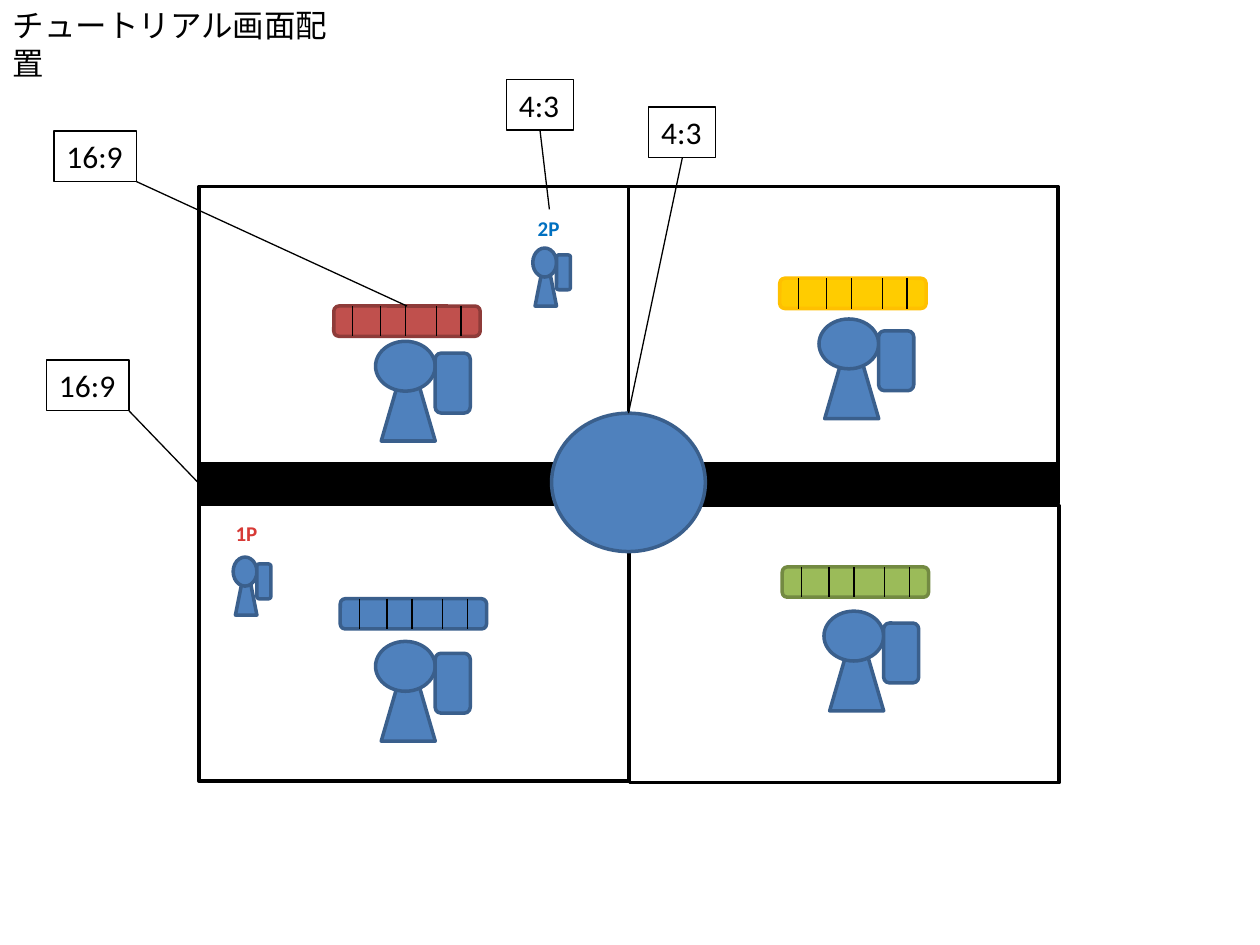
from lxml.etree import SubElement
from pptx import Presentation
from pptx.dml.color import RGBColor
from pptx.enum.shapes import MSO_CONNECTOR as Link, MSO_SHAPE as Shape
from pptx.enum.text import MSO_ANCHOR as Anchor, MSO_AUTO_SIZE as AutoSize, PP_ALIGN as Align
from pptx.oxml.ns import qn
from pptx.util import Cm, Pt

BLACK = RGBColor(0x00, 0x00, 0x00)
WHITE = RGBColor(0xFF, 0xFF, 0xFF)
BLUE = RGBColor(0x4F, 0x81, 0xBD)
BLUE_EDGE = RGBColor(0x3A, 0x5F, 0x8C)
RED = RGBColor(0xC0, 0x50, 0x4D)
RED_EDGE = RGBColor(0x8E, 0x3B, 0x39)
GREEN = RGBColor(0x9B, 0xBB, 0x59)
GREEN_EDGE = RGBColor(0x73, 0x8A, 0x42)
YELLOW = RGBColor(0xFF, 0xCC, 0x00)
YELLOW_EDGE = RGBColor(0xFF, 0xC0, 0x00)
TAG_RED = RGBColor(0xD7, 0x3A, 0x36)
TAG_BLUE = RGBColor(0x00, 0x70, 0xC0)

PANE_SIZE = (8.66, 5.59)
PLAYER_SIZE = (1.91, 2.01)
SMALL_PLAYER_SIZE = (0.76, 1.17)
GAUGE_SIZE = (2.95, 0.61)
TAG_SIZE = (0.97, 0.76)
WIDE_LABEL = (1.66, 1.02)
NARROW_LABEL = (1.35, 1.02)

PLAYER_PARTS = (
    (Shape.ISOSCELES_TRIANGLE, 0.06, 0.07, 0.57, 0.93),
    (Shape.OVAL, 0, 0, 0.63, 0.5),
    (Shape.ROUNDED_RECTANGLE, 0.63, 0.12, 0.37, 0.6),
)
GAUGE_MARKS = (0.13, 0.32, 0.49, 0.7, 0.87)
LABEL_FONT = {"name": "Calibri", "size": Pt(18), "bold": False}
TAG_FONT = {"name": "Calibri", "size": Pt(12), "bold": True}


def add_block(shapes, kind, box, fill, edge, weight=2):
    block = shapes.add_shape(kind, *map(Cm, box))
    block.shadow.inherit = False
    if fill is None:
        block.fill.background()
    else:
        block.fill.solid()
        block.fill.fore_color.rgb = fill
    block.line.color.rgb = edge
    block.line.width = Pt(weight)
    return block


def add_line(shapes, start=(0, 0), end=(0, 0)):
    line = shapes.add_connector(Link.STRAIGHT, *map(Cm, (*start, *end)))
    line.line.color.rgb = BLACK
    line.line.width = Pt(0.75)
    SubElement(line._element.spPr, qn("a:effectLst"))
    return line


def write(frame, wording, font_format, color, **frame_format):
    frame.text = wording
    for name, value in frame_format.items():
        setattr(frame, name, value)
    paragraph = frame.paragraphs[0]
    paragraph.alignment = Align.LEFT
    font = paragraph.runs[0].font
    for name, value in font_format.items():
        setattr(font, name, value)
    font.color.rgb = color


def add_title(slide, box):
    title = slide.shapes.title
    for name, value in zip(("left", "top", "width", "height"), box):
        setattr(title, name, Cm(value))
    write(title.text_frame, "チュートリアル画面配置", LABEL_FONT, BLACK,
          word_wrap=True, auto_size=AutoSize.NONE, vertical_anchor=Anchor.TOP)


def add_screen(shapes, left, top):
    width, height = PANE_SIZE
    lower = top + 6.4
    for x, y in ((left + width, top), (left + width + 0.02, lower + 0.03)):
        add_block(shapes, Shape.RECTANGLE, (x, y, *PANE_SIZE), WHITE, BLACK)
    divider = add_block(shapes, Shape.RECTANGLE,
                        (left, top + height, 2 * width, 0.79), BLACK, BLACK)
    for y in (top, lower):
        add_block(shapes, Shape.RECTANGLE, (left, y, *PANE_SIZE), WHITE, BLACK)
    hub = add_block(shapes, Shape.OVAL,
                    (left + width - 1.55, top + 4.57, 3.1, 2.79), BLUE, BLUE_EDGE)
    return divider, hub


def add_player(shapes, left, top, width, height):
    player = shapes.add_group_shape()
    for kind, x, y, w, h in PLAYER_PARTS:
        box = (left + x * width, top + y * height, w * width, h * height)
        add_block(player.shapes, kind, box, BLUE, BLUE_EDGE)


def add_gauge(shapes, left, top, fill, edge):
    width, height = GAUGE_SIZE
    gauge = shapes.add_group_shape()
    body = add_block(gauge.shapes, Shape.ROUNDED_RECTANGLE,
                     (left, top, width, height), fill, edge)
    for mark in GAUGE_MARKS:
        x = left + mark * width
        add_line(gauge.shapes, (x, top), (x, top + height))
    return body


def add_tag(shapes, left, top, wording, color):
    tag = shapes.add_textbox(*map(Cm, (left, top, *TAG_SIZE)))
    write(tag.text_frame, wording, TAG_FONT, color, word_wrap=False)
    return tag


def add_callout(shapes, box, wording, target, side, from_corner):
    left, top, width, height = box
    label = add_block(shapes, Shape.RECTANGLE, box, None, BLACK, 0.75)
    write(label.text_frame, wording, LABEL_FONT, BLACK,
          word_wrap=False, vertical_anchor=Anchor.TOP)
    leader = add_line(shapes, (left + width, top + height))
    if not from_corner:
        leader.begin_connect(label, 2)
    leader.end_connect(target, side)


def main():
    deck = Presentation()
    deck.slide_width, deck.slide_height = Cm(25.4), Cm(19.05)
    slide = deck.slides.add_slide(deck.slide_layouts[5])
    shapes = slide.shapes

    add_title(slide, (0, 0, 6.91, 1.02))
    divider, hub = add_screen(shapes, 4.01, 3.76)

    for spot in ((7.57, 6.88), (16.51, 6.43), (7.57, 12.93), (16.61, 12.32)):
        add_player(shapes, *spot, *PLAYER_SIZE)
    red_gauge = add_gauge(shapes, 6.73, 6.17, RED, RED_EDGE)
    add_gauge(shapes, 15.77, 11.43, GREEN, GREEN_EDGE)
    add_gauge(shapes, 15.72, 5.61, YELLOW, YELLOW_EDGE)
    add_gauge(shapes, 6.86, 12.07, BLUE, BLUE_EDGE)
    for spot in ((10.74, 5), (4.7, 11.23)):
        add_player(shapes, *spot, *SMALL_PLAYER_SIZE)

    add_tag(shapes, 4.5, 10.36, "1P", TAG_RED)
    second_tag = add_tag(shapes, 10.59, 4.22, "2P", TAG_BLUE)

    add_callout(shapes, (1.09, 2.64, *WIDE_LABEL), "16:9", red_gauge, 0, True)
    add_callout(shapes, (10.21, 1.6, *NARROW_LABEL), "4:3", second_tag, 0, False)
    add_callout(shapes, (13.08, 2.16, *NARROW_LABEL), "4:3", hub, 0, False)
    add_callout(shapes, (0.94, 7.26, *WIDE_LABEL), "16:9", divider, 1, True)

    deck.save("out.pptx")


if __name__ == "__main__":
    main()
